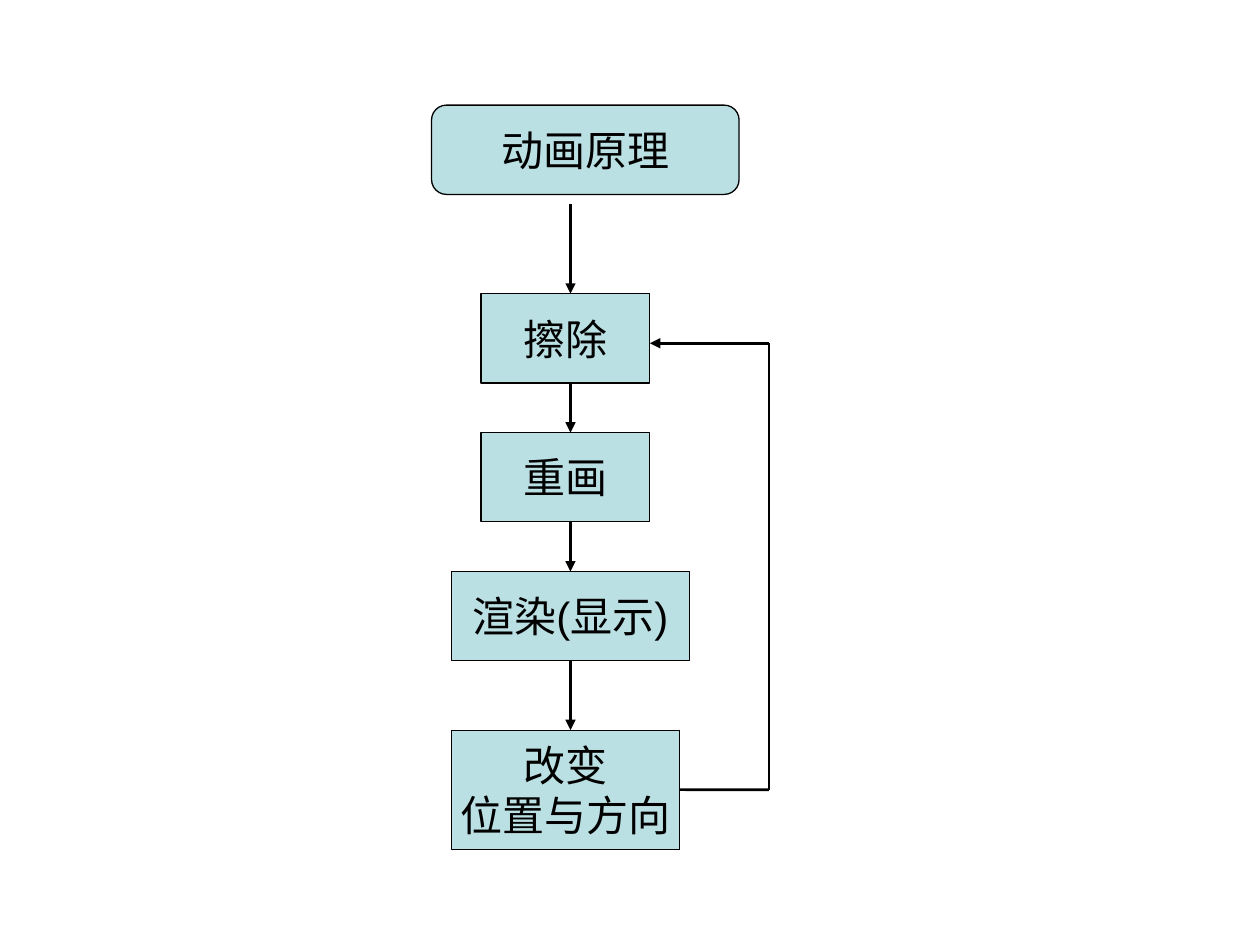
from dataclasses import dataclass
from typing import NamedTuple, Optional

from lxml.etree import SubElement
from pptx import Presentation
from pptx.dml.color import RGBColor
from pptx.enum.shapes import MSO_CONNECTOR, MSO_SHAPE
from pptx.enum.text import MSO_ANCHOR, PP_ALIGN
from pptx.oxml.ns import qn
from pptx.util import Inches, Pt

CELL = 10 / 127
LEFT_MARGIN, TOP_MARGIN = 0.5, 0.6
AXIS, LOOP = 57, 77
TOP, RIGHT, BOTTOM = 0, 3, 2


@dataclass(frozen=True)
class Theme:
    """Colours, font and sizes of the flowchart."""
    fill: RGBColor = RGBColor(0xBB, 0xE0, 0xE3)
    ink: RGBColor = RGBColor(0, 0, 0)
    font: str = "Arial"
    text_size: int = 24
    border: float = 0.75
    arrow: float = 1.5


class Step(NamedTuple):
    """A labelled box in grid columns and rows."""
    label: str
    column: int
    row: int
    columns: int
    rows: int = 9
    outline: MSO_SHAPE = MSO_SHAPE.FLOWCHART_PROCESS

    @property
    def end(self) -> int:
        """Return the row of the lower edge."""
        return self.row + self.rows


class Joint(NamedTuple):
    """A line end on the grid, optionally joined to the side of a box."""
    column: int
    row: int
    box: Optional[object] = None
    side: int = TOP


THEME = Theme()
TITLE = Step("动画原理", 43, 10, 31, outline=MSO_SHAPE.FLOWCHART_ALTERNATE_PROCESS)
ERASE = Step("擦除", 48, 29, 17)
REDRAW = Step("重画", 48, 43, 17)
RENDER = Step("渲染(显示)", 45, 57, 24)
CHANGE = Step("改变\n位置与方向", 45, 73, 23, 12)


def at_column(column: int) -> int:
    """Return the horizontal position of a grid column."""
    return Inches((column + LEFT_MARGIN) * CELL)


def at_row(row: int) -> int:
    """Return the vertical position of a grid row."""
    return Inches((row + TOP_MARGIN) * CELL)


def write_text(frame, text: str, *, size: int, color: RGBColor, font: str,
               align: PP_ALIGN = PP_ALIGN.CENTER) -> None:
    """Fill a text frame with one formatted paragraph per line."""
    frame.word_wrap = False
    frame.vertical_anchor = MSO_ANCHOR.MIDDLE
    frame.text = text
    for paragraph in frame.paragraphs:
        paragraph.alignment = align
        for run in paragraph.runs:
            run.font.name = font
            run.font.size = Pt(size)
            run.font.color.rgb = color


def draw_step(slide, step: Step):
    """Draw a box with its label and return it."""
    box = slide.shapes.add_shape(
        step.outline, at_column(step.column), at_row(step.row),
        Inches(step.columns * CELL), Inches(step.rows * CELL))
    box.shadow.inherit = False
    box.fill.solid()
    box.fill.fore_color.rgb = THEME.fill
    box.line.color.rgb = THEME.ink
    box.line.width = Pt(THEME.border)
    write_text(box.text_frame, step.label, size=THEME.text_size,
               color=THEME.ink, font=THEME.font)
    return box


def draw_line(slide, start: Joint, end: Joint, arrow: bool = True) -> None:
    """Draw a straight line, joined to boxes where they are given."""
    line = slide.shapes.add_connector(
        MSO_CONNECTOR.STRAIGHT, at_column(start.column), at_row(start.row),
        at_column(end.column), at_row(end.row))
    if start.box is not None:
        line.begin_connect(start.box, start.side)
    if end.box is not None:
        line.end_connect(end.box, end.side)
    line.line.color.rgb = THEME.ink
    line.line.width = Pt(THEME.arrow)
    if arrow:
        SubElement(line.line._get_or_add_ln(), qn("a:tailEnd"), type="triangle")
    SubElement(line._element.spPr, qn("a:effectLst"))


def main() -> None:
    """Build the animation flowchart and save it."""
    presentation = Presentation()
    presentation.slide_width, presentation.slide_height = Inches(10), Inches(7.5)
    slide = presentation.slides.add_slide(presentation.slide_layouts[6])

    for step in (TITLE, ERASE, REDRAW):
        draw_step(slide, step)
    render_box, change_box = (draw_step(slide, step) for step in (RENDER, CHANGE))

    loop_start, loop_end = CHANGE.row + CHANGE.rows // 2, ERASE.row + 5
    lower_corner, upper_corner = Joint(LOOP, loop_start), Joint(LOOP, loop_end)

    draw_line(slide, Joint(AXIS, ERASE.end), Joint(AXIS, REDRAW.row))
    draw_line(slide, Joint(AXIS, REDRAW.end), Joint(AXIS, RENDER.row, render_box, TOP))
    draw_line(slide, Joint(AXIS, RENDER.end, render_box, BOTTOM), Joint(AXIS, CHANGE.row))
    draw_line(slide, Joint(CHANGE.column + CHANGE.columns, loop_start, change_box, RIGHT),
              lower_corner, arrow=False)
    draw_line(slide, lower_corner, upper_corner, arrow=False)
    draw_line(slide, upper_corner, Joint(ERASE.column + ERASE.columns, loop_end))
    draw_line(slide, Joint(AXIS, TITLE.end + 1), Joint(AXIS, ERASE.row))

    presentation.save("out.pptx")


if __name__ == "__main__":
    main()
